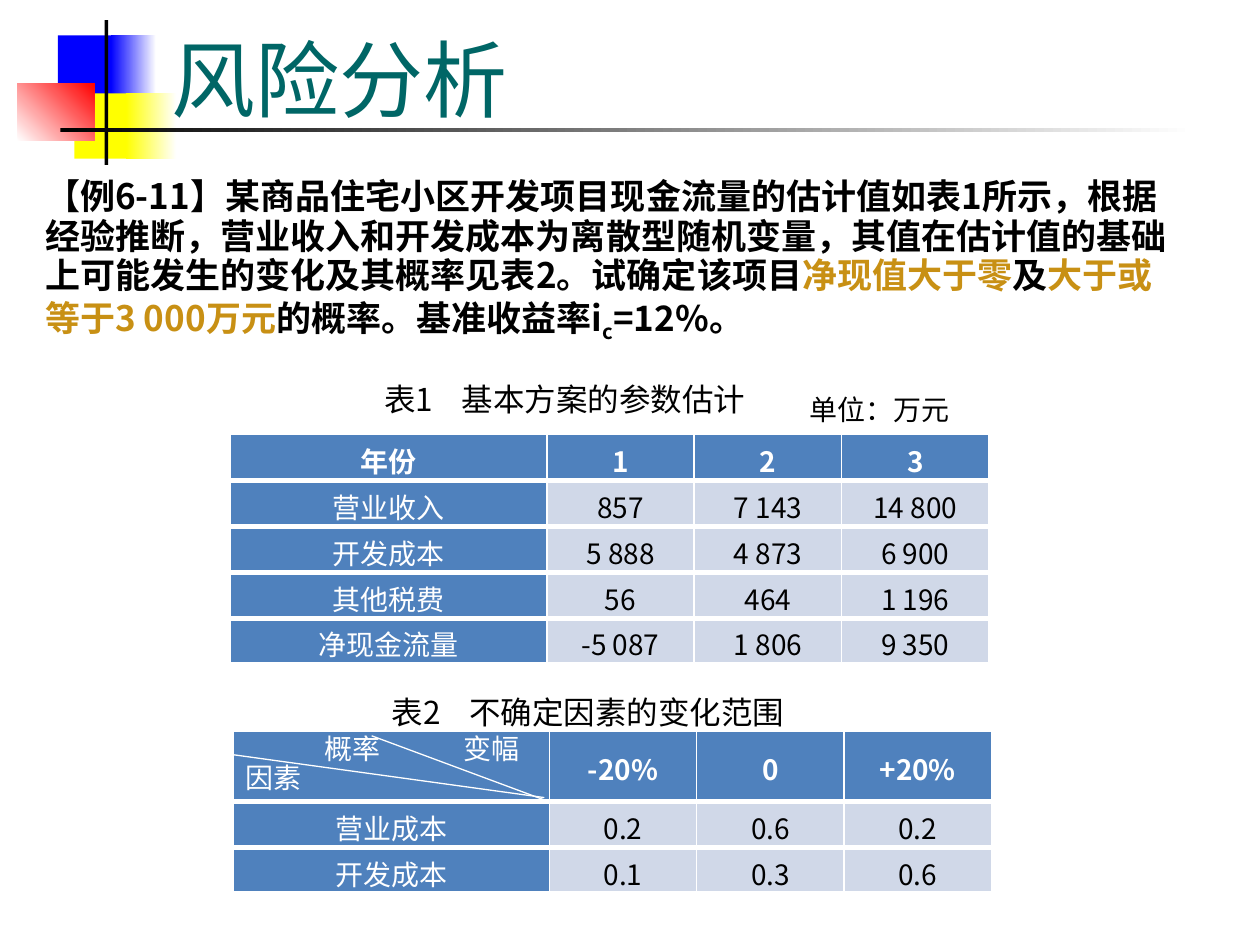
import lxml.etree
import pptx
import pptx.dml.color
import pptx.enum.shapes
import pptx.enum.text
import pptx.oxml.ns
import pptx.util

HUES = {
    "white": "FFFFFF", "black": "000000", "blue": "0000FF", "red": "FF0000",
    "yellow": "FFFF00", "teal": "006666", "gold": "C89014",
    "head": "4F81BD", "cell": "D0D8E8",
}
SANS = "Noto Sans CJK SC"
MID = pptx.enum.text.MSO_ANCHOR.MIDDLE
TOP = pptx.enum.text.MSO_ANCHOR.TOP


def tint(name):
    return pptx.dml.color.RGBColor.from_string(HUES[name])


def node(parent, tag, **attrs):
    return lxml.etree.SubElement(parent, pptx.oxml.ns.qn(tag), attrs)


class Deck:
    """Style and current slide; lengths count cells of a 100 by 75 grid."""

    def __init__(self):
        self.show = pptx.Presentation()
        self.show.slide_width = pptx.util.Inches(10)
        self.show.slide_height = pptx.util.Inches(7.5)
        self.unit = self.show.slide_width / 100
        self.slide = self.show.slides.add_slide(self.show.slide_layouts[6])
        self.shapes = self.slide.shapes

    def grid(self, *cells):
        return [round(cell * self.unit) for cell in cells]

    def run(self, para, text, size, hue="black", bold=False, face=SANS, base=0):
        run = para.add_run()
        run.text = text
        run.font.size = pptx.util.Pt(size)
        run.font.bold = bold
        run.font.color.rgb = tint(hue)
        run.font.name = face
        mark = run.font._element
        node(mark, "a:ea", typeface=SANS)
        if base:
            mark.set("baseline", str(base * 1000))

    def text(self, box, runs, size, anchor=TOP, lines=None, tab=None, **look):
        frame = self.shapes.add_textbox(*self.grid(*box)).text_frame
        frame.word_wrap = True
        frame.vertical_anchor = anchor
        para = frame.paragraphs[0]
        if tab:
            stops = node(para._p.get_or_add_pPr(), "a:tabLst")
            node(stops, "a:tab", pos=str(self.grid(tab)[0]), algn="l")
        if lines:
            para.line_spacing = lines
        for words, extra in runs:
            self.run(para, words, size, **{**look, **extra})

    def block(self, box, hue, end=None, angle=0):
        kind = pptx.enum.shapes.MSO_SHAPE.RECTANGLE
        shape = self.shapes.add_shape(kind, *self.grid(*box))
        shape.shadow.inherit = False
        shape.line.fill.background()
        if end is None:
            shape.fill.solid()
            shape.fill.fore_color.rgb = tint(hue)
            return
        shape.fill.gradient()
        shape.fill.gradient_angle = angle
        for stop, name in zip(shape.fill.gradient_stops, (hue, end)):
            stop.color.rgb = tint(name)

    def line(self, start, stop):
        kind = pptx.enum.shapes.MSO_CONNECTOR.STRAIGHT
        line = self.shapes.add_connector(kind, *self.grid(*start, *stop))
        line.line.color.rgb = tint("white")
        line.line.width = pptx.util.Pt(0.75)
        node(line._element.spPr, "a:effectLst")

    def edge(self, cell, top):
        props = cell._tc.get_or_add_tcPr()
        for side, width in (("L", 1), ("R", 1), ("T", top), ("B", 3)):
            rule = node(props, "a:ln" + side, w=str(pptx.util.Pt(width)))
            node(node(rule, "a:solidFill"), "a:srgbClr", val=HUES["white"])

    def table(self, left, top, cols, rows, data, anchor):
        box = self.grid(left, top, sum(cols), sum(rows))
        table = self.shapes.add_table(len(rows), len(cols), *box).table
        for col, width in zip(table.columns, self.grid(*cols)):
            col.width = width
        for row, height in zip(table.rows, self.grid(*rows)):
            row.height = height
        for r, record in enumerate(data):
            for c, words in enumerate(record):
                cell = table.cell(r, c)
                label = r == 0 or c == 0
                self.edge(cell, 3 if r else 1)
                cell.fill.solid()
                cell.fill.fore_color.rgb = tint("head" if label else "cell")
                cell.vertical_anchor = anchor
                cell.margin_top, cell.margin_bottom = self.grid(0.4, 0)
                para = cell.text_frame.paragraphs[0]
                para.alignment = pptx.enum.text.PP_ALIGN.CENTER
                if words:
                    hue = "white" if label else "black"
                    self.run(para, words, 16, hue, bold=r == 0)


def main():
    deck = Deck()

    # Corner ornament and title rule
    deck.block((4.6, 2.8, 4.8, 5.2), "blue")
    deck.block((8.8, 2.8, 3.6, 5.2), "blue", "white")
    deck.block((5.9, 7.4, 4.6, 5.2), "yellow")
    deck.block((10, 7.4, 4, 5.2), "yellow", "white")
    deck.block((1.4, 6.6, 6.1, 4.6), "white", "red", 45)
    deck.block((8.3, 1.6, 0.3, 11.5), "black")
    deck.block((4.8, 10.2, 90, 0.3), "black", "white")

    # Problem statement
    gold = {"hue": "gold"}
    deck.text((2.6, 12.7, 91.5, 15.8), [
        ("【例6-11】某商品住宅小区开发项目现金流量的估计值如表1所示，"
         "根据经验推断，营业收入和开发成本为离散型随机变量，"
         "其值在估计值的基础上可能发生的变化及其概率见表2。试确定该项目", {}),
        ("净现值大于零", gold),
        ("及", {}),
        ("大于或等于3 000万元", gold),
        ("的概率。基准收益率i", {}),
        ("c", {"base": -25}),
        ("=12%。", {}),
    ], 20, anchor=MID, lines=0.93, bold=True)

    # Table captions and unit
    for left, top, words in ((29.5, 29.7, "表1\t基本方案的参数估计"),
                             (30.1, 54.5, "表2\t不确定因素的变化范围")):
        deck.text((left, top, 51.4, 4), [(words, {})], 18, tab=6.15)
    deck.text((63.3, 30.7, 17.3, 3.7), [("单位：万元", {})], 16)

    # Tables
    cols = [25.1] + [11.7] * 3
    high = 3.65
    deck.table(18.3, 34.5, cols, [high] * 5, [
        ("年份", "1", "2", "3"),
        ("营业收入", "857", "7 143", "14 800"),
        ("开发成本", "5 888", "4 873", "6 900"),
        ("其他税费", "56", "464", "1 196"),
        ("净现金流量", "-5 087", "1 806", "9 350"),
    ], TOP)
    deck.table(18.5, 58, cols, [5.6, high, high], [
        ("", "-20%", "0", "+20%"),
        ("营业成本", "0.2", "0.6", "0.2"),
        ("开发成本", "0.1", "0.3", "0.6"),
    ], MID)

    # Split header cell
    deck.line((43.5, 63.6), (29.5, 58.4))
    deck.line((43.2, 63.3), (18.5, 59.9))
    for left, top, words in ((35.8, 57.6, "变幅"), (24.8, 57.6, "概率"),
                             (18.5, 59.9, "因素")):
        deck.text((left, top, 7.1, 3.7), [(words, {})], 16, hue="white")

    # Title
    deck.text((12.6, 1.6, 85.2, 9.2), [("风险分析", {})], 48, anchor=MID,
              hue="teal", face="Times New Roman")

    deck.show.save("out.pptx")


if __name__ == "__main__":
    main()
